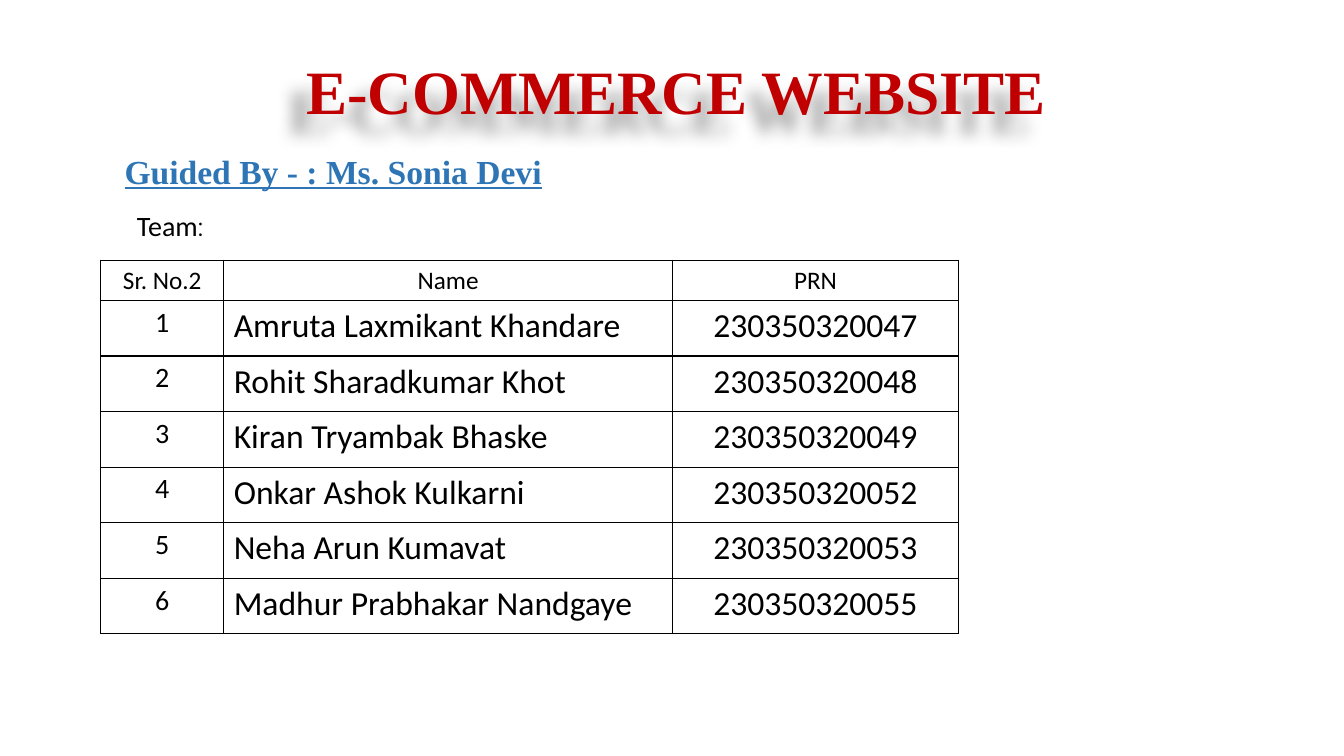
import dataclasses
import typing

import lxml.etree
import pptx
import pptx.dml.color
import pptx.enum.text
import pptx.oxml
import pptx.oxml.ns
import pptx.util

Pt = pptx.util.Pt
ALIGN = pptx.enum.text.PP_ALIGN
ANCHOR = pptx.enum.text.MSO_ANCHOR
COLORS = {"title": "C00000", "guide": "2E75B6", "ink": "000000"}
SERIF, SANS = "Times New Roman", "Calibri"
NS = pptx.oxml.ns.nsdecls("a")
TEAM = [
    ("Amruta Laxmikant Khandare", "230350320047"),
    ("Rohit Sharadkumar Khot", "230350320048"),
    ("Kiran Tryambak Bhaske", "230350320049"),
    ("Onkar Ashok Kulkarni", "230350320052"),
    ("Neha Arun Kumavat", "230350320053"),
    ("Madhur Prabhakar Nandgaye", "230350320055"),
]


@dataclasses.dataclass
class Style:
    size: float
    font: str = SANS
    color: str = "ink"
    bold: bool = False
    line: bool = False


@dataclasses.dataclass
class Column:
    head: str
    width: float
    size: float
    align: typing.Any


COLS = [
    Column("Sr. No.2", 87.8, 20, ALIGN.CENTER),
    Column("Name", 320.6, 24, ALIGN.LEFT),
    Column("PRN", 204.3, 24, ALIGN.CENTER),
]


def apply(item: typing.Any, values: dict) -> None:
    for key, value in values.items():
        setattr(item, key, value)


def write(para: typing.Any, text: str, style: Style) -> None:
    run = para.add_run()
    run.text = text
    apply(run.font, {"size": Pt(style.size), "name": style.font,
                     "bold": style.bold, "underline": style.line})
    run.font.color.rgb = pptx.dml.color.RGBColor.from_string(COLORS[style.color])


def place(shape: typing.Any, left: float, top: float, width: float, height: float) -> None:
    apply(shape, {"left": Pt(left), "top": Pt(top), "width": Pt(width), "height": Pt(height)})


def shade(shape: typing.Any) -> None:
    shape.fill.background()
    shape._element.spPr.append(pptx.oxml.parse_xml(
        f'<a:effectLst {NS}><a:outerShdw blurRad="{Pt(12)}" dist="{Pt(18)}" '
        f'dir="8100000" algn="tr" rotWithShape="0"><a:srgbClr val="{COLORS["ink"]}">'
        '<a:alpha val="40000"/></a:srgbClr></a:outerShdw></a:effectLst>'))


def edge(cell: typing.Any) -> None:
    props = cell._tc.get_or_add_tcPr()
    for side in "LRTB":
        props.append(pptx.oxml.parse_xml(
            f'<a:ln{side} {NS} w="{Pt(1)}"><a:solidFill>'
            f'<a:srgbClr val="{COLORS["ink"]}"/></a:solidFill></a:ln{side}>'))
    cell.fill.background()


def head(slide: typing.Any) -> None:
    title = slide.shapes.title
    place(title, 111.6, 9.4, 657.4, 85.7)
    shade(title)
    apply(title.text_frame, {"vertical_anchor": ANCHOR.BOTTOM, "word_wrap": True,
                             "margin_left": Pt(93),
                             "auto_size": pptx.enum.text.MSO_AUTO_SIZE.NONE})
    para = title.text_frame.paragraphs[0]
    apply(para, {"alignment": ALIGN.CENTER, "line_spacing": 0.9})
    write(para, "E-COMMERCE WEBSITE", Style(44, SERIF, "title", True))


def labels(slide: typing.Any) -> None:
    guide = slide.shapes.add_textbox(Pt(64.8), Pt(107.3), Pt(346.3), Pt(40.3))
    guide.text_frame.word_wrap = True
    para = guide.text_frame.paragraphs[0]
    apply(para, {"alignment": ALIGN.CENTER, "line_spacing": 0.9, "space_before": Pt(10)})
    write(para, "Guided By - : Ms. Sonia Devi", Style(24, SERIF, "guide", True, True))

    team = slide.shapes.add_textbox(Pt(90.7), Pt(145.4), Pt(109.4), Pt(31.5))
    apply(team.text_frame, {"word_wrap": True,
                            "auto_size": pptx.enum.text.MSO_AUTO_SIZE.SHAPE_TO_FIT_TEXT})
    para = team.text_frame.paragraphs[0]
    write(para, "Team", Style(20))
    write(para, ":", Style(18, "Montserrat"))


def roster(slide: typing.Any) -> None:
    width = sum(col.width for col in COLS)
    table = slide.shapes.add_table(len(TEAM) + 1, len(COLS), Pt(72), Pt(185.8),
                                   Pt(width), Pt(267.1)).table
    apply(table, {"first_row": False, "horz_banding": False})
    for slot, col in zip(table.columns, COLS):
        slot.width = Pt(col.width)
    rows = [tuple(col.head for col in COLS)]
    rows += [(str(num), *person) for num, person in enumerate(TEAM, 1)]
    for r, texts in enumerate(rows):
        table.rows[r].height = Pt(39.7 if r else 28.8)
        for c, (text, col) in enumerate(zip(texts, COLS)):
            cell = table.cell(r, c)
            edge(cell)
            para = cell.text_frame.paragraphs[0]
            para.alignment = col.align if r else ALIGN.CENTER
            write(para, text, Style(col.size if r else 18))


def main() -> None:
    """Build the project team slide."""
    deck = pptx.Presentation()
    apply(deck, {"slide_width": Pt(960), "slide_height": Pt(540)})
    slide = deck.slides.add_slide(deck.slide_layouts[5])
    head(slide)
    labels(slide)
    roster(slide)
    deck.save("out.pptx")


if __name__ == "__main__":
    main()
